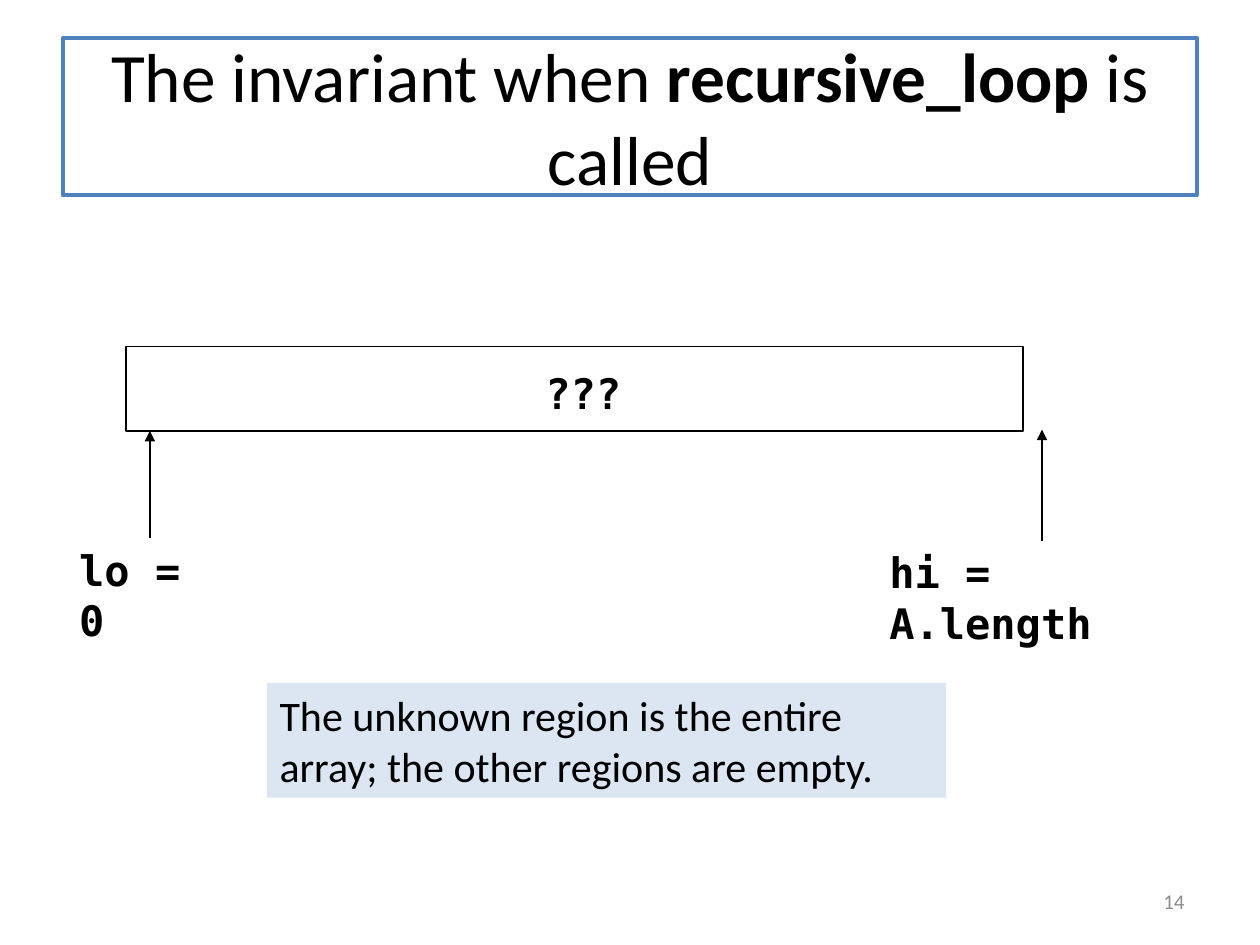
from dataclasses import dataclass

import pptx
import pptx.dml.color
import pptx.enum.shapes
import pptx.enum.text
import pptx.oxml
import pptx.oxml.ns
import pptx.util

PX = 9144  # EMU in one px, at 100 px to the inch
COLORS = {
    "white": "FFFFFF",
    "black": "000000",
    "border": "4F81BD",
    "note": "DCE6F2",
    "number": "8C8C8C",
}
BODY_FONT = "Calibri"
CODE_FONT = "DejaVu Sans Mono"
ALIGN = pptx.enum.text.PP_ALIGN
ANCHOR = pptx.enum.text.MSO_ANCHOR


@dataclass(frozen=True)
class Box:
    left: int
    top: int
    width: int
    height: int

    def emu(self) -> list[int]:
        return [v * PX for v in (self.left, self.top, self.width, self.height)]


@dataclass(frozen=True)
class IndexLabel:
    text: str
    box: Box
    tip: int  # y at which the arrow above the label ends


ARRAY = Box(100, 275, 712, 67)
INDEX_LABELS = [
    IndexLabel("lo = 0", Box(53, 427, 132, 50), 342),
    IndexLabel("hi = A.length", Box(696, 429, 262, 50), 341),
]


def rgb(name: str) -> pptx.dml.color.RGBColor:
    return pptx.dml.color.RGBColor.from_string(COLORS[name])


def format_text(sp, size: float, font: str = BODY_FONT, color: str = "black",
                bold: bool = False, align=ALIGN.LEFT, anchor=ANCHOR.TOP) -> None:
    tf = sp.text_frame
    tf.word_wrap = True
    tf.auto_size = pptx.enum.text.MSO_AUTO_SIZE.NONE
    tf.vertical_anchor = anchor
    for p in tf.paragraphs:
        p.alignment = align
        p.font.name = font
        p.font.size = pptx.util.Pt(size)
        p.font.bold = bold
        p.font.color.rgb = rgb(color)


def add_text(slide, text: str, box: Box, size: float, **style):
    sp = slide.shapes.add_textbox(*box.emu())
    sp.text_frame.text = text
    format_text(sp, size, **style)
    return sp


def add_code(slide, text: str, box: Box):
    return add_text(slide, text, box, 24, font=CODE_FONT, bold=True)


def add_rectangle(slide, box: Box):
    sp = slide.shapes.add_shape(pptx.enum.shapes.MSO_SHAPE.RECTANGLE, *box.emu())
    sp.shadow.inherit = False
    return sp


def add_index_label(slide, label: IndexLabel) -> None:
    """Draw a label with an arrow rising from the middle of its top side."""
    sp = add_code(slide, label.text, label.box)
    x = (label.box.left + label.box.width // 2) * PX
    arrow = slide.shapes.add_connector(
        pptx.enum.shapes.MSO_CONNECTOR.STRAIGHT,
        x, label.box.top * PX, x, label.tip * PX)
    arrow.begin_connect(sp, 0)
    arrow.line.color.rgb = rgb("black")
    arrow.line.width = pptx.util.Pt(1.25)
    ln = arrow.line._get_or_add_ln()
    ln.append(pptx.oxml.parse_xml(
        f'<a:tailEnd {pptx.oxml.ns.nsdecls("a")} type="triangle"/>'))
    ln.getparent().append(pptx.oxml.parse_xml(
        f'<a:effectLst {pptx.oxml.ns.nsdecls("a")}/>'))


def add_title(slide) -> None:
    title = slide.shapes.title
    title.left, title.top, title.width, title.height = Box(50, 30, 900, 125).emu()
    title.fill.solid()
    title.fill.fore_color.rgb = rgb("white")
    title.line.color.rgb = rgb("border")
    title.line.width = pptx.util.Pt(2.25)
    p = title.text_frame.paragraphs[0]
    for text, bold in [("The invariant when ", False),
                       ("recursive_loop ", True),
                       ("is called", False)]:
        r = p.add_run()
        r.text = text
        r.font.bold = bold
    format_text(title, 39.6, align=ALIGN.CENTER, anchor=ANCHOR.MIDDLE)


def main() -> None:
    prs = pptx.Presentation()
    prs.slide_width, prs.slide_height = 1000 * PX, 750 * PX
    slide = prs.slides.add_slide(prs.slide_layouts.get_by_name("Title Only"))

    add_title(slide)
    add_text(slide, "14", Box(717, 695, 233, 40), 12, color="number",
             align=ALIGN.RIGHT, anchor=ANCHOR.MIDDLE)

    array = add_rectangle(slide, ARRAY)
    array.fill.background()
    array.line.color.rgb = rgb("black")
    array.line.width = pptx.util.Pt(1)
    for label in INDEX_LABELS:
        add_index_label(slide, label)
    add_code(slide, "???", Box(423, 287, 92, 50))

    note = add_rectangle(slide, Box(212, 542, 539, 91))
    note.fill.solid()
    note.fill.fore_color.rgb = rgb("note")
    note.line.fill.background()
    note.text_frame.text = ("The unknown region is the entire array; "
                            "the other regions are empty.")
    format_text(note, 24, anchor=ANCHOR.MIDDLE)

    prs.save("out.pptx")


if __name__ == "__main__":
    main()
